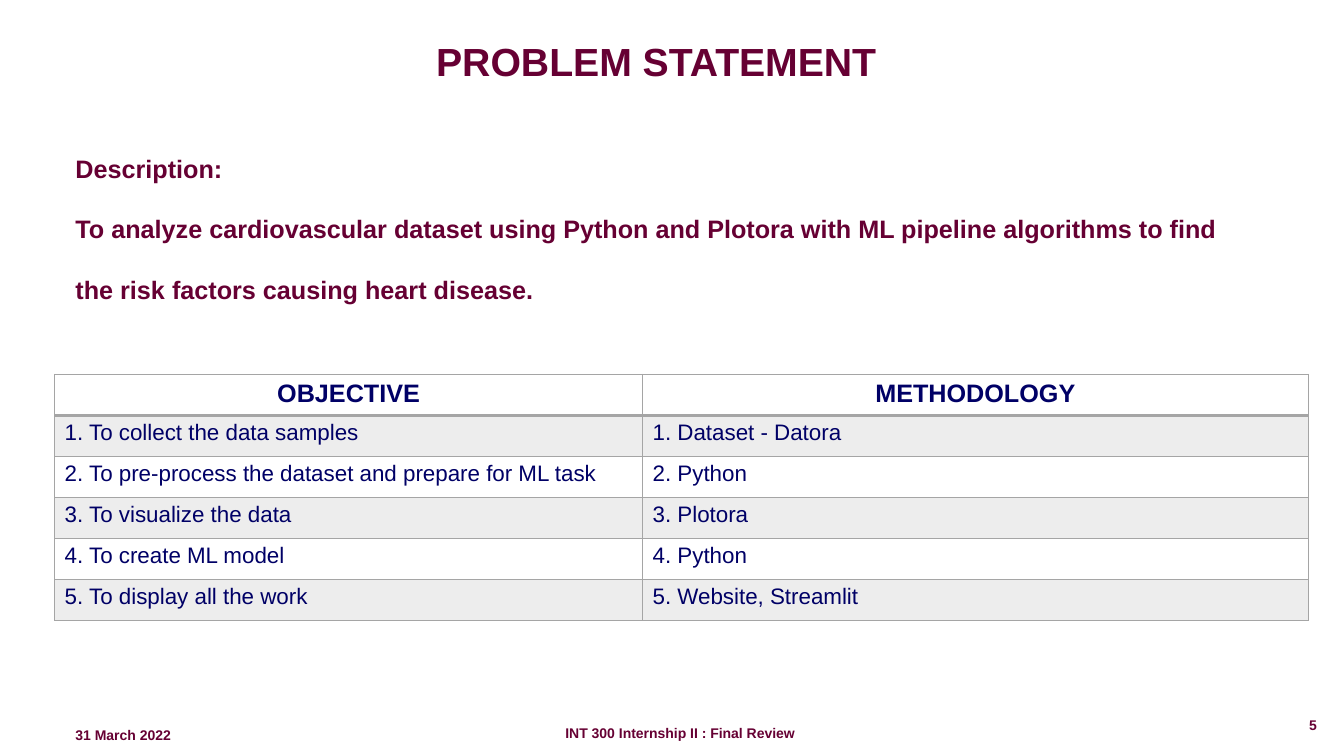
from pptx import Presentation
from pptx.dml.color import RGBColor
from pptx.enum.text import PP_ALIGN as Align
from pptx.oxml import parse_xml
from pptx.oxml.ns import nsdecls
from pptx.util import Pt

FONT = "Arial"
MAROON, NAVY, GRAY, BAND = "660033", "000066", "A5A5A5", "EDEDED"
HEADINGS = ("OBJECTIVE", "METHODOLOGY")
TASKS = [
    ("To collect the data samples", "Dataset - Datora"),
    ("To pre-process the dataset and prepare for ML task", "Python"),
    ("To visualize the data", "Plotora"),
    ("To create ML model", "Python"),
    ("To display all the work", "Website, Streamlit"),
]
DESCRIPTION = [
    "Description:",
    "To analyze cardiovascular dataset using Python and Plotora with ML pipeline "
    "algorithms to find the risk factors causing heart disease.",
]


def color(value):
    """Turn a hex string into a colour."""
    return RGBColor.from_string(value)


def add_run(para, text, size, tint, bold):
    """Append a styled run to a paragraph."""
    span = para.add_run()
    span.text = text
    span.font.name = FONT
    span.font.size = Pt(size)
    span.font.bold = bold
    span.font.color.rgb = color(tint)


def add_text(page, box, lines, size, spacing=1.0):
    """Place bold maroon paragraphs in a box of left, top, width, height."""
    frame = page.shapes.add_textbox(*map(Pt, box)).text_frame
    frame.word_wrap = True
    for index, line in enumerate(lines):
        para = frame.add_paragraph() if index else frame.paragraphs[0]
        para.line_spacing = spacing
        add_run(para, line, size, MAROON, True)


def add_borders(cell, top, bottom):
    """Draw gray lines around a cell, with the given top and bottom widths."""
    properties = cell._tc.get_or_add_tcPr()
    widths = {"L": 1, "R": 1, "T": top, "B": bottom}
    for index, (side, width) in enumerate(widths.items()):
        properties.insert(index, parse_xml(
            f'<a:ln{side} {nsdecls("a")} w="{Pt(width)}"><a:solidFill>'
            f'<a:srgbClr val="{GRAY}"/></a:solidFill></a:ln{side}>'))


def add_task_table(page, box, first_width):
    """Place the table of objectives and methods in a box."""
    left, top, width, height = box
    rows = [HEADINGS] + [
        [f"{number}. {text}" for text in pair]
        for number, pair in enumerate(TASKS, 1)]
    table = page.shapes.add_table(len(rows), 2, *map(Pt, box)).table
    table.columns[0].width = Pt(first_width)
    table.columns[1].width = Pt(width - first_width)
    for row_index, texts in enumerate(rows):
        header = row_index == 0
        table.rows[row_index].height = Pt(height / len(rows))
        for column_index, text in enumerate(texts):
            cell = table.cell(row_index, column_index)
            if row_index % 2:
                cell.fill.solid()
                cell.fill.fore_color.rgb = color(BAND)
            else:
                cell.fill.background()
            add_borders(cell, 2 if row_index == 1 else 1, 2 if header else 1)
            para = cell.text_frame.paragraphs[0]
            para.alignment = Align.CENTER if header else Align.LEFT
            add_run(para, text, 18 if header else 16, NAVY, header)


def add_footer(page, box):
    """Place the date, course name and page number along a footer box."""
    left, top, width, height = box
    add_text(page, (left, top + 7, 112, 18), ["31 March 2022"], 10)
    add_text(page, (left + 350, top + 6, 197, 20),
             ["INT 300 Internship II : Final Review"], 10)
    add_text(page, (left + width - 32, top, 32, height), ["5"], 10)


def main():
    """Build the problem statement slide."""
    deck = Presentation()
    deck.slide_width, deck.slide_height = Pt(960), Pt(540)
    page = deck.slides.add_slide(deck.slide_layouts[6])
    add_text(page, (304.5, 23, 340, 41), ["PROBLEM STATEMENT"], 28)
    add_text(page, (46.8, 84.2, 851, 138), DESCRIPTION, 18, 2.0)
    add_task_table(page, (39, 267.5, 895.5, 175.8), 420)
    add_footer(page, (46.8, 508.3, 913.2, 31))
    deck.save("out.pptx")


if __name__ == "__main__":
    main()
